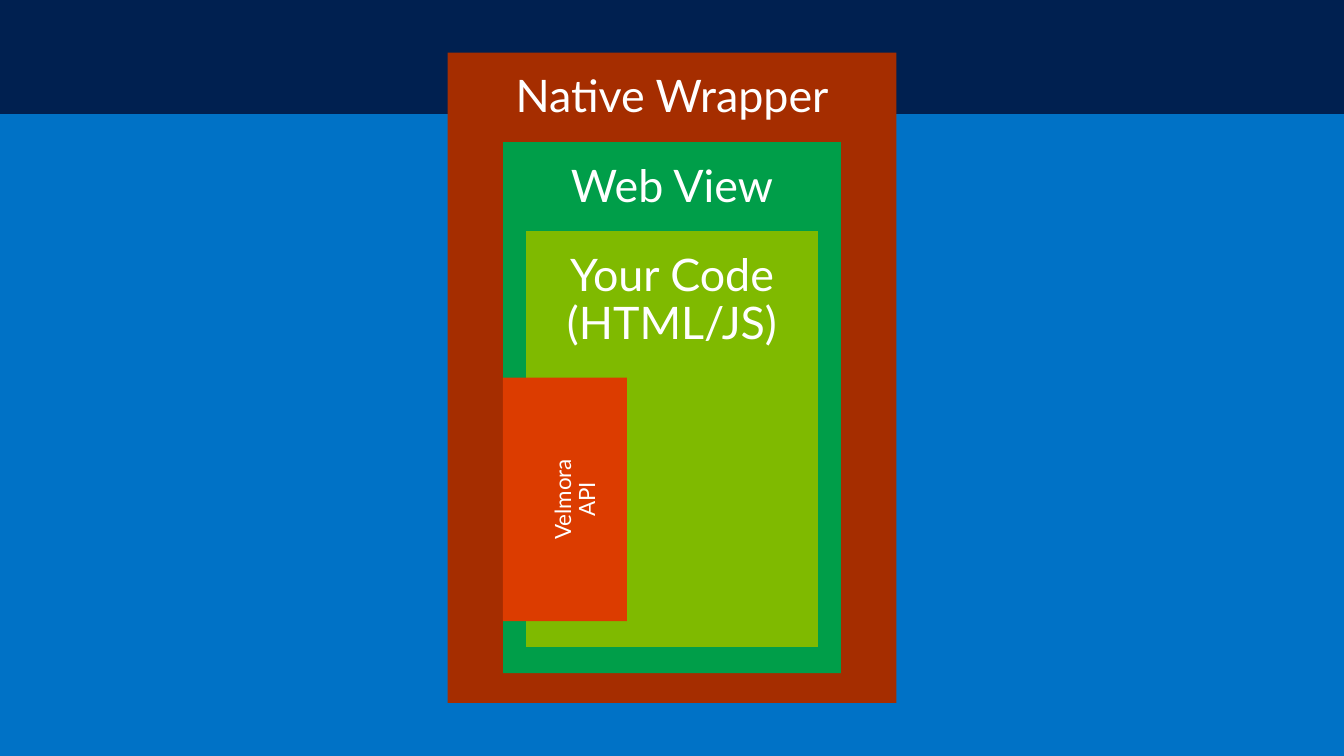
from pptx import Presentation
from pptx.dml.color import RGBColor
from pptx.enum.shapes import MSO_SHAPE
from pptx.enum.text import MSO_ANCHOR, PP_ALIGN
from pptx.util import Pt

RECTANGLE = MSO_SHAPE.RECTANGLE
TOP, BOTTOM = MSO_ANCHOR.TOP, MSO_ANCHOR.BOTTOM
CENTER = PP_ALIGN.CENTER

SLIDE_WIDTH, SLIDE_HEIGHT = 720, 405
FONT = "Lato"
SKY, NAVY, WHITE = "0072C6", "002050", "FFFFFF"
RUST, GREEN, LIME, ORANGE = "A52D00", "009E49", "7FBA00", "DC3C00"


def set_fill(fill, color):
    fill.solid()
    fill.fore_color.rgb = RGBColor.from_string(color)


def add_block(slide, box, color):
    block = slide.shapes.add_shape(RECTANGLE, *(Pt(length) for length in box))
    block.shadow.inherit = False
    set_fill(block.fill, color)
    block.line.fill.background()
    return block


def add_layer(slide, box, color, label, size=24, anchor=TOP):
    layer = add_block(slide, box, color)
    frame = layer.text_frame
    frame.word_wrap = True
    frame.vertical_anchor = anchor
    frame.margin_left = frame.margin_right = Pt(14.4)
    frame.margin_top = frame.margin_bottom = Pt(11.5)
    frame.text = label
    for paragraph in frame.paragraphs:
        paragraph.alignment = CENTER
        paragraph.line_spacing = 0.9
        for run in paragraph.runs:
            run.font.name = FONT
            run.font.size = Pt(size)
            set_fill(run.font.fill, WHITE)
    return layer


def inset(box, side, top, bottom):
    """Return the box that remains inside the given margins."""
    x, y, width, height = box
    return x + side, y + top, width - 2 * side, height - top - bottom


def add_app_stack(slide, box):
    """Nest the app's layers in the box, with the API on the web view's left edge."""
    web_box = inset(box, side=29.7, top=48, bottom=16)
    code_box = inset(web_box, side=12.3, top=47.6, bottom=14)
    api_box = (web_box[0], web_box[1] + 126.2, 66.4, 130.4)

    add_layer(slide, box, RUST, "Native Wrapper")
    add_layer(slide, web_box, GREEN, "Web View")
    add_layer(slide, code_box, LIME, "Your Code\n(HTML/JS)")
    api = add_layer(slide, api_box, ORANGE, "Velmora\nAPI", size=12, anchor=BOTTOM)
    api.element.txBody.bodyPr.set("vert", "vert270")


def main():
    presentation = Presentation()
    presentation.slide_width = Pt(SLIDE_WIDTH)
    presentation.slide_height = Pt(SLIDE_HEIGHT)
    slide = presentation.slides.add_slide(presentation.slide_layouts[6])
    set_fill(slide.background.fill, SKY)

    add_block(slide, (0, 0, SLIDE_WIDTH, 61), NAVY)
    stack_width = 240.4
    stack_left = (SLIDE_WIDTH - stack_width) / 2
    add_app_stack(slide, (stack_left, 28.2, stack_width, 348.4))

    presentation.save("out.pptx")


if __name__ == "__main__":
    main()
